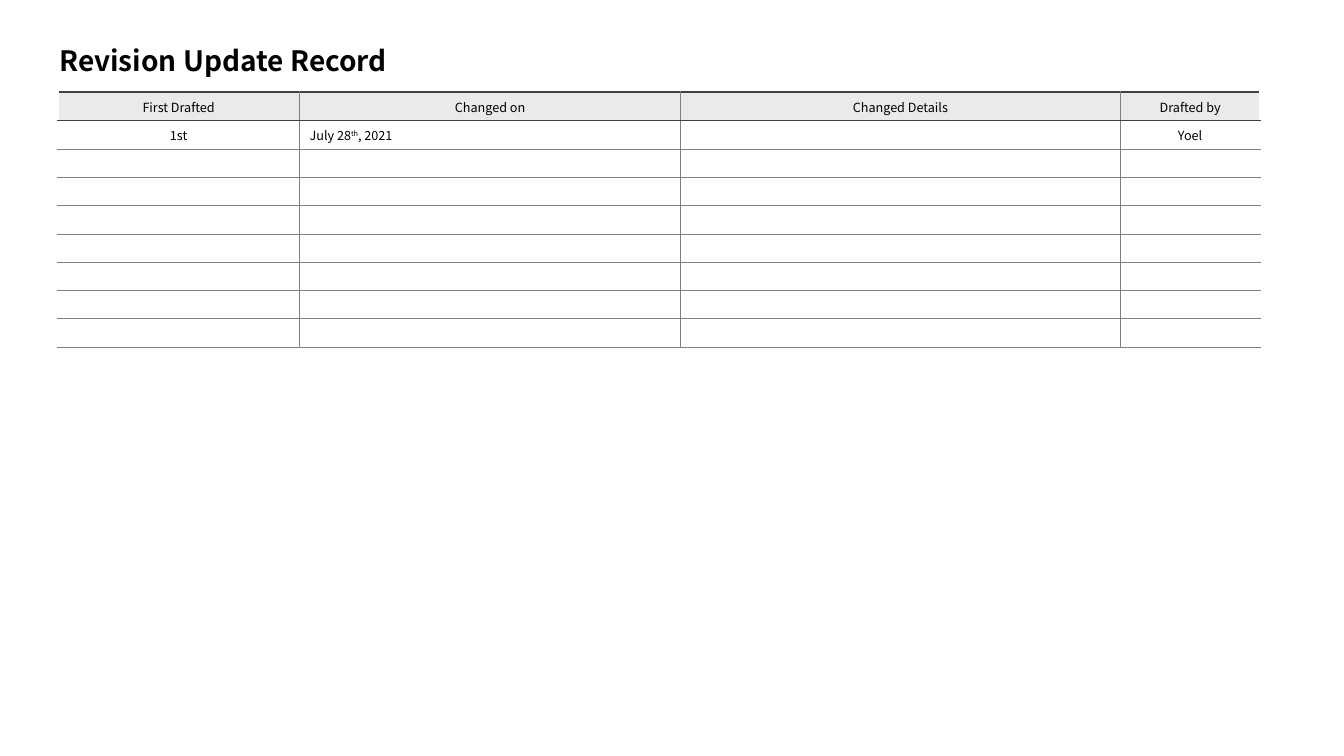
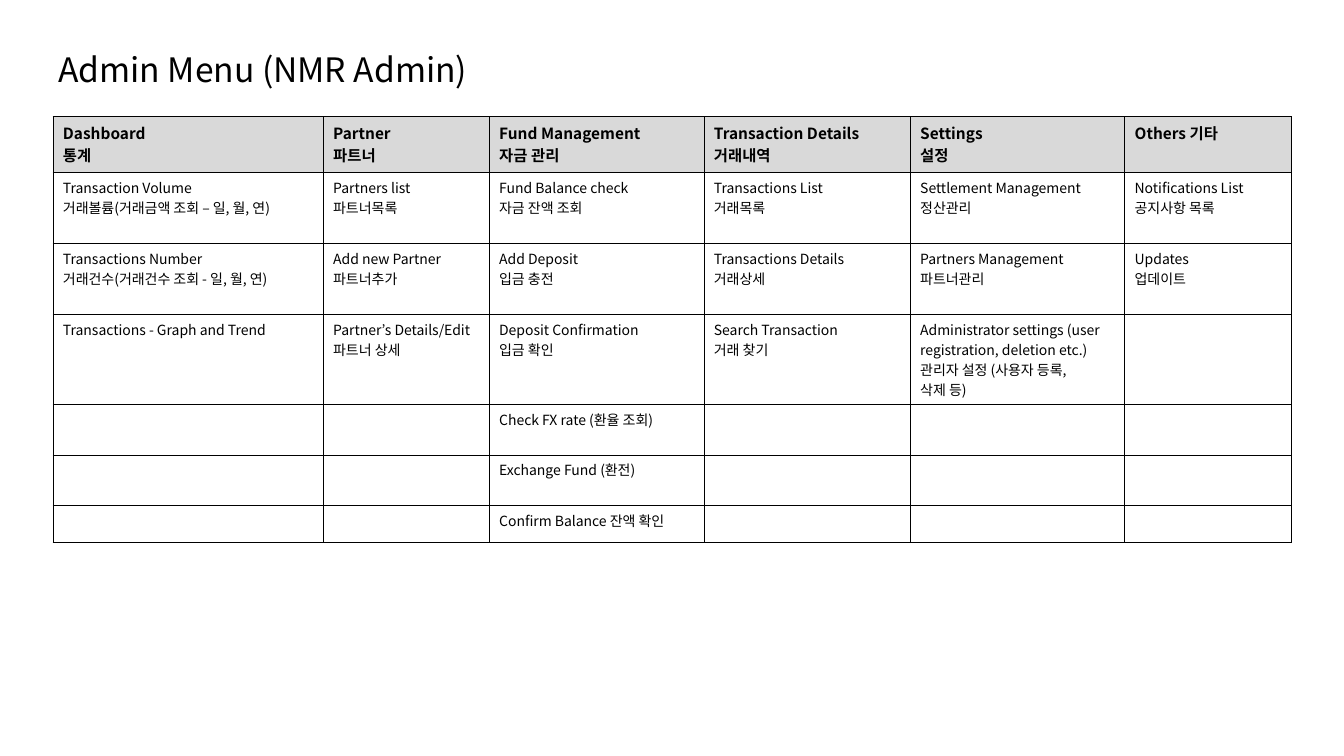
"""Build a revision record slide and an admin menu slide."""
import dataclasses

import lxml.etree
import pptx
import pptx.dml.color
import pptx.enum.text
import pptx.oxml.ns
import pptx.util

Pt = pptx.util.Pt
ALIGN = pptx.enum.text.PP_ALIGN
ANCHOR = pptx.enum.text.MSO_ANCHOR

REVISION_TITLE = "Revision Update Record"
REVISION_HEADS = ["First Drafted", "Changed on", "Changed Details", "Drafted by"]
REVISIONS = [["1st", "July 28^th^, 2021", "", "Yoel"]]
BLANK_REVISIONS = 7
REVISION_WIDTHS = [172.8, 272.2, 313.9, 100.1]

MENU_TITLE = "Admin Menu (NMR Admin)"
MENU = {
    "Dashboard\n통계": [
        "Transaction Volume\n거래볼륨(거래금액 조회 – 일, 월, 연)",
        "Transactions Number\n거래건수(거래건수 조회 - 일, 월, 연)",
        "Transactions - Graph and Trend",
    ],
    "Partner\n파트너": [
        "Partners list\n파트너목록",
        "Add new Partner\n파트너추가",
        "Partner’s Details/Edit\n파트너 상세",
    ],
    "Fund Management\n자금 관리": [
        "Fund Balance check\n자금 잔액 조회",
        "Add Deposit\n입금 충전",
        "Deposit Confirmation\n입금 확인",
        "Check FX rate (환율 조회)",
        "Exchange Fund (환전)",
        "Confirm Balance 잔액 확인",
    ],
    "Transaction Details\n거래내역": [
        "Transactions List\n거래목록",
        "Transactions Details\n거래상세",
        "Search Transaction\n거래 찾기",
    ],
    "Settings\n설정": [
        "Settlement Management\n정산관리",
        "Partners Management\n파트너관리",
        "Administrator settings (user registration, deletion etc.)\n"
        "관리자 설정 (사용자 등록,\n삭제 등)",
    ],
    "Others 기타": [
        "Notifications List\n공지사항 목록",
        "Updates\n업데이트",
    ],
}
MENU_WIDTHS = [193, 118.6, 153.4, 147.4, 153.2, 118.8]
MENU_HEIGHTS = [40, 50.7, 50.7, 64.3, 36.2, 36, 26.6]


@dataclasses.dataclass(frozen=True)
class Theme:
    font: str = "Noto Sans CJK KR"
    ink: str = "000000"
    paper: str = "FFFFFF"
    record_head: str = "EAEAEA"
    menu_head: str = "D9D9D9"
    rule: str = "808080"
    head_rule: str = "404040"
    record_title: float = 20
    menu_title: float = 24
    record_text: float = 9
    menu_head_text: float = 11
    menu_text: float = 10


THEME = Theme()


def style(properties):
    east_asian = lxml.etree.SubElement(properties, pptx.oxml.ns.qn("a:ea"))
    east_asian.set("typeface", THEME.font)


def write(frame, text, size, bold=False, align=ALIGN.LEFT):
    for index, line in enumerate(text.split("\n")):
        paragraph = frame.add_paragraph() if index else frame.paragraphs[0]
        paragraph.alignment = align
        if not line:
            end = lxml.etree.SubElement(paragraph._p, pptx.oxml.ns.qn("a:endParaRPr"))
            end.set("sz", str(int(size * 100)))
            continue
        for order, part in enumerate(line.split("^")):
            run = paragraph.add_run()
            run.text = part
            run.font.size = Pt(size)
            run.font.bold = bold
            run.font.color.rgb = pptx.dml.color.RGBColor.from_string(THEME.ink)
            run.font.name = THEME.font
            properties = run._r.get_or_add_rPr()
            style(properties)
            if order % 2:
                properties.set("baseline", "30000")


def add_title(slide, text, left, top, width, height, size, bold=False, wrap=True, anchor=ANCHOR.TOP):
    frame = slide.shapes.add_textbox(Pt(left), Pt(top), Pt(width), Pt(height)).text_frame
    frame.word_wrap = wrap
    frame.vertical_anchor = anchor
    write(frame, text, size, bold)


def set_borders(cell, edges):
    properties = cell._tc.get_or_add_tcPr()
    for index, side in enumerate("LRTB"):
        color, weight = edges[side]
        line = lxml.etree.Element(pptx.oxml.ns.qn("a:ln" + side), w=str(Pt(weight)))
        fill = lxml.etree.SubElement(line, pptx.oxml.ns.qn("a:solidFill"))
        lxml.etree.SubElement(fill, pptx.oxml.ns.qn("a:srgbClr"), val=color)
        properties.insert(index, line)


def add_grid(slide, rows, left, top, widths, heights, dress):
    table = slide.shapes.add_table(
        len(rows), len(widths), Pt(left), Pt(top), Pt(sum(widths)), Pt(sum(heights))
    ).table
    table.first_row = table.horz_banding = False
    for column, width in zip(table.columns, widths):
        column.width = Pt(width)
    for row, height in zip(table.rows, heights):
        row.height = Pt(height)
    for r, texts in enumerate(rows):
        for c, text in enumerate(texts):
            cell = table.cell(r, c)
            fill, edges, anchor, text_format = dress(r, c)
            cell.fill.solid()
            cell.fill.fore_color.rgb = pptx.dml.color.RGBColor.from_string(fill)
            cell.vertical_anchor = anchor
            set_borders(cell, edges)
            write(cell.text_frame, text, **text_format)


def dress_record(r, c):
    inner, outer = (THEME.rule, 0.75), (THEME.paper, 1.5)
    last = len(REVISION_HEADS) - 1
    edges = {
        "L": inner if c else outer,
        "R": inner if c < last else outer,
        "T": {0: (THEME.head_rule, 1.5), 1: (THEME.head_rule, 0.75)}.get(r, inner),
        "B": inner if r else (THEME.head_rule, 0.75),
    }
    align = ALIGN.CENTER if r == 0 or c in (0, last) else ALIGN.LEFT
    fill = THEME.paper if r else THEME.record_head
    return fill, edges, ANCHOR.MIDDLE, {"size": THEME.record_text, "align": align}


def dress_menu(r, c):
    edges = dict.fromkeys("LRTB", (THEME.ink, 0.25))
    if r == 0:
        return THEME.menu_head, edges, ANCHOR.TOP, {"size": THEME.menu_head_text, "bold": True}
    return THEME.paper, edges, ANCHOR.TOP, {"size": THEME.menu_text}


def main():
    deck = pptx.Presentation()
    deck.slide_width, deck.slide_height = Pt(960), Pt(540)
    blank = deck.slide_layouts[6]

    record = deck.slides.add_slide(blank)
    revisions = [REVISION_HEADS, *REVISIONS, *[[""] * len(REVISION_HEADS)] * BLANK_REVISIONS]
    add_grid(record, revisions, 41.2, 66, REVISION_WIDTHS, [20.2] * len(revisions), dress_record)
    add_title(record, REVISION_TITLE, 35.3, 26, 708, 32.4, THEME.record_title,
              bold=True, anchor=ANCHOR.BOTTOM)

    menu = deck.slides.add_slide(blank)
    depth = max(map(len, MENU.values()))
    columns = [[head, *items, *[""] * (depth - len(items))] for head, items in MENU.items()]
    add_grid(menu, list(zip(*columns)), 37.8, 83, MENU_WIDTHS, MENU_HEIGHTS, dress_menu)
    add_title(menu, MENU_TITLE, 34.4, 31.7, 314, 36, THEME.menu_title, wrap=False)

    deck.save("out.pptx")


if __name__ == "__main__":
    main()
